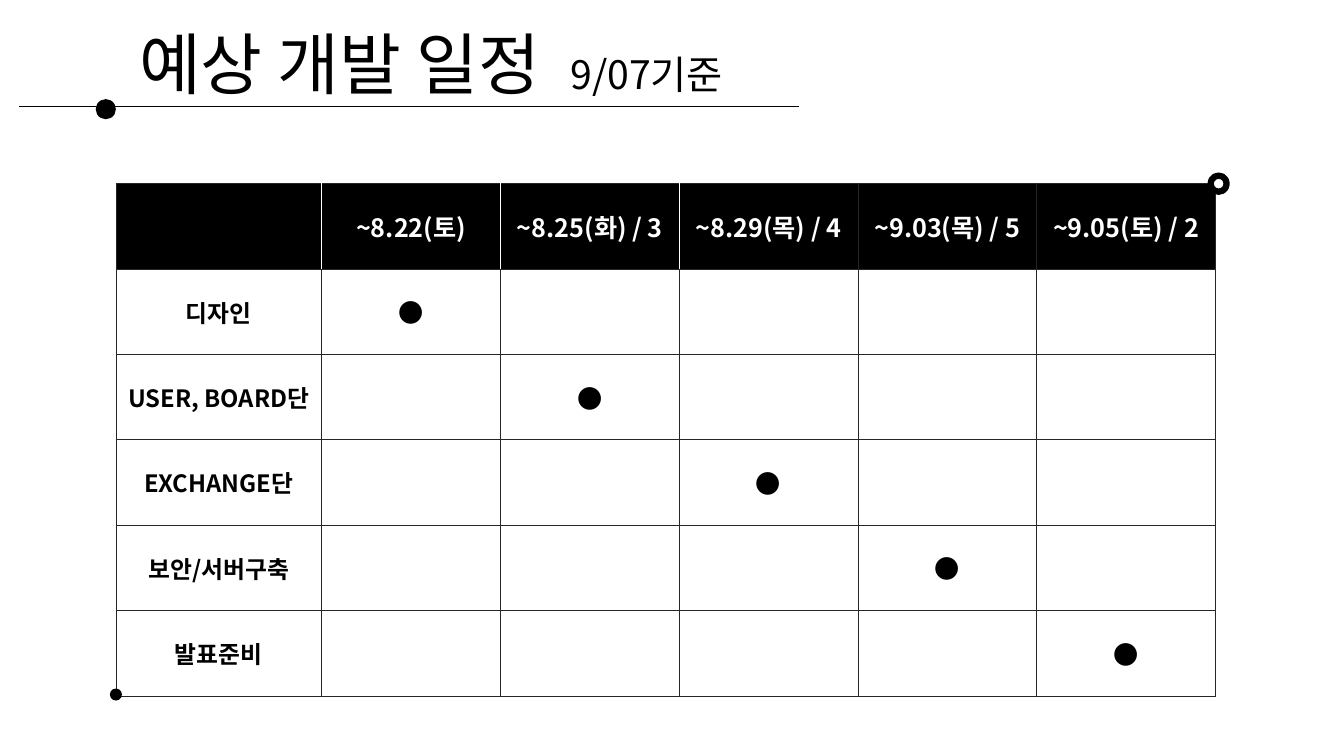
from lxml.etree import SubElement
from pptx import Presentation
from pptx.dml.color import RGBColor
from pptx.enum.shapes import MSO_CONNECTOR as CONN, MSO_SHAPE as SHAPE
from pptx.enum.text import MSO_ANCHOR as ANCHOR, MSO_AUTO_SIZE as AUTO, PP_ALIGN as ALIGN
from pptx.oxml import parse_xml
from pptx.oxml.ns import nsdecls, qn
from pptx.util import Pt

FONT = "Noto Sans CJK KR"
BLACK, WHITE, GRAY = "000000", "FFFFFF", "262626"
TITLE = [("예상 개발 일정  ", 48), ("9/07기준", 28)]
DATES = ["", "~8.22(토)", "~8.25(화) / 3", "~8.29(목) / 4", "~9.03(목) / 5", "~9.05(토) / 2"]
TASKS = ["디자인", "USER, BOARD단", "EXCHANGE단", "보안/서버구축", "발표준비"]
LEFT, TOP, TASK_W, DATE_W, ROW_H = 82.8, 131.2, 147, 127.7, 61
RULE_Y = 76.3
WHITE_EDGES = 3
DOTS = [
    (75.6, 78, 14.4, BLACK, None),
    (82.8, 496.1, 8.6, BLACK, None),
    (870.5, 131.2, 11.5, WHITE, 4.5),
]


def rgb(value):
    return RGBColor.from_string(value)


def add_run(p, text, size, color=BLACK, bold=False):
    r = p.add_run()
    r.text = text
    for key, value in {"name": FONT, "size": Pt(size), "bold": bold}.items():
        setattr(r.font, key, value)
    r.font.color.rgb = rgb(color)
    SubElement(r.font._element, qn("a:ea"), typeface=FONT)


def set_borders(cell, white_sides):
    tc_pr = cell._tc.get_or_add_tcPr()
    for i, side in enumerate("LRTB"):
        color, width = (WHITE, 1) if side in white_sides else (GRAY, 0.5)
        tc_pr.insert(i, parse_xml(
            f'<a:ln{side} {nsdecls("a")} w="{Pt(width)}">'
            f'<a:solidFill><a:srgbClr val="{color}"/></a:solidFill></a:ln{side}>'))


def add_title(s):
    title = s.shapes.title
    box = {"left": 92.2, "top": 12.2, "width": 504, "height": 65.5}
    for key, value in box.items():
        setattr(title, key, Pt(value))
    tf = title.text_frame
    frame = {"word_wrap": False, "auto_size": AUTO.SHAPE_TO_FIT_TEXT, "vertical_anchor": ANCHOR.TOP}
    for key, value in frame.items():
        setattr(tf, key, value)
    p = tf.paragraphs[0]
    p.alignment, p.line_spacing, p.space_before = ALIGN.LEFT, 1.0, Pt(0)
    for text, size in TITLE:
        add_run(p, text, size)


def cell_content(row, col):
    if row == 0:
        return DATES[col], 18, WHITE, True
    if col == 0:
        return TASKS[row - 1], 17, BLACK, True
    return "●" if row == col else "", 18, BLACK, False


def add_schedule(s):
    rows, cols = len(TASKS) + 1, len(DATES)
    width = TASK_W + DATE_W * (cols - 1)
    table = s.shapes.add_table(rows, cols, Pt(LEFT), Pt(TOP), Pt(width), Pt(ROW_H * rows)).table
    for i, column in enumerate(table.columns):
        column.width = Pt(DATE_W if i else TASK_W)
    for row in range(rows):
        table.rows[row].height = Pt(ROW_H)
        for col in range(cols):
            cell = table.cell(row, col)
            cell.vertical_anchor = ANCHOR.MIDDLE
            cell.fill.solid()
            cell.fill.fore_color.rgb = rgb(WHITE if row else BLACK)
            white_sides = ""
            if row == 0:
                white_sides += "L" if 0 < col <= WHITE_EDGES else ""
                white_sides += "R" if col < WHITE_EDGES else ""
            set_borders(cell, white_sides)
            p = cell.text_frame.paragraphs[0]
            p.alignment = ALIGN.CENTER
            text, size, color, bold = cell_content(row, col)
            if text:
                add_run(p, text, size, color, bold)


def add_rule(s):
    rule = s.shapes.add_connector(CONN.STRAIGHT, Pt(13.7), Pt(RULE_Y), Pt(571), Pt(RULE_Y))
    rule.line.color.rgb = rgb(BLACK)
    rule.line.width = Pt(0.5)
    SubElement(rule._element.spPr, qn("a:effectLst"))


def add_dot(s, x, y, size, fill, line):
    dot = s.shapes.add_shape(SHAPE.OVAL, Pt(x - size / 2), Pt(y - size / 2), Pt(size), Pt(size))
    dot.shadow.inherit = False
    dot.fill.solid()
    dot.fill.fore_color.rgb = rgb(fill)
    if line:
        dot.line.color.rgb = rgb(BLACK)
        dot.line.width = Pt(line)
    else:
        dot.line.fill.background()


def main():
    prs = Presentation()
    prs.slide_width, prs.slide_height = Pt(960), Pt(540)
    s = prs.slides.add_slide(prs.slide_layouts[5])
    add_title(s)
    add_schedule(s)
    add_rule(s)
    for dot in DOTS:
        add_dot(s, *dot)
    prs.save("out.pptx")


if __name__ == "__main__":
    main()
